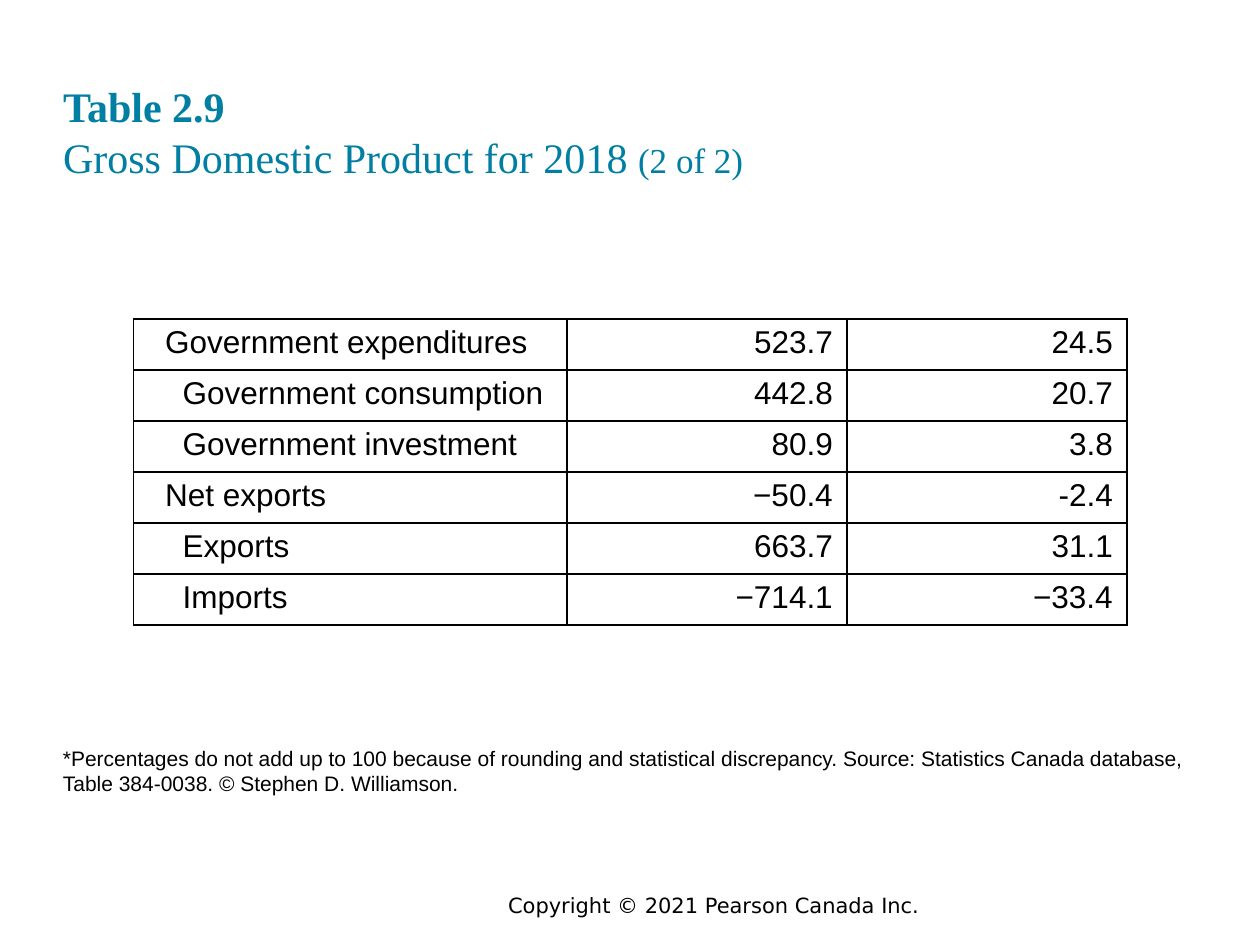
from lxml import etree
from pptx import Presentation
from pptx import util as u
from pptx.dml.color import RGBColor
from pptx.enum import text
from pptx.oxml import parse_xml
from pptx.oxml.ns import nsdecls, qn

Pt = u.Pt
BLACK = "000000"
TEAL = "007FA3"


def style(span, font, size, color, bold=False):
    span.font.name = font
    span.font.size = Pt(size)
    span.font.bold = bold
    span.font.color.rgb = RGBColor.from_string(color)


def add_borders(cell, color, width):
    properties = cell._tc.get_or_add_tcPr()
    for index, side in enumerate(("lnL", "lnR", "lnT", "lnB")):
        line = parse_xml(
            f'<a:{side} {nsdecls("a")} w="{Pt(width)}"><a:solidFill>'
            f'<a:srgbClr val="{color}"/></a:solidFill></a:{side}>')
        properties.insert(index, line)


deck = Presentation()
deck.slide_width, deck.slide_height = Pt(720), Pt(540)
page = deck.slides.add_slide(deck.slide_layouts[5])

# Title
title = page.shapes.title
title.left, title.top, title.width, title.height = Pt(36), Pt(17.3), Pt(648), Pt(86.4)
frame = title.text_frame
frame.margin_left = frame.margin_top = frame.margin_right = frame.margin_bottom = 0
frame.word_wrap = True
frame.auto_size = text.MSO_AUTO_SIZE.NONE
frame.vertical_anchor = text.MSO_ANCHOR.BOTTOM
frame.text = "Table 2.9\vGross Domestic Product for 2018 "
para = frame.paragraphs[0]
para.alignment = text.PP_ALIGN.LEFT
para.add_run().text = "(2 of 2)"
for span, size, bold in zip(para.runs, (24, 24, 20), (True, False, False)):
    style(span, "Times New Roman", size, TEAL, bold)
line_break = para._p.find(qn("a:br"))
etree.SubElement(line_break, qn("a:rPr")).set("sz", "2400")

# Table: indent level, item, amount, percentage
rows = [
    (1, "Government expenditures", "523.7", "24.5"),
    (2, "Government consumption", "442.8", "20.7"),
    (2, "Government investment", "80.9", "3.8"),
    (1, "Net exports", "−50.4", "-2.4"),
    (2, "Exports", "663.7", "31.1"),
    (2, "Imports", "−714.1", "−33.4"),
]
column_widths = (247.5, 160, 160)
row_height = 29.16
table = page.shapes.add_table(
    len(rows), len(column_widths), Pt(76.4), Pt(182.2),
    Pt(sum(column_widths)), Pt(row_height * len(rows))).table
table.first_row = table.horz_banding = False
for column, width in zip(table.columns, column_widths):
    column.width = Pt(width)
for row_index, (level, *values) in enumerate(rows):
    table.rows[row_index].height = Pt(row_height)
    for column_index, value in enumerate(values):
        cell = table.cell(row_index, column_index)
        cell.fill.background()
        add_borders(cell, BLACK, 1)
        cell.margin_left = Pt(8 + 10 * level if column_index == 0 else 8)
        cell.margin_right = Pt(8)
        cell.margin_top = cell.margin_bottom = Pt(3.6)
        cell.text_frame.text = value
        para = cell.text_frame.paragraphs[0]
        para.alignment = text.PP_ALIGN.RIGHT if column_index else text.PP_ALIGN.LEFT
        style(para.runs[0], "Arial", 18, BLACK)

# Footnote and copyright line
notes = [
    ("*Percentages do not add up to 100 because of rounding and statistical "
     "discrepancy. Source: Statistics Canada database, Table 384-0038. "
     "© Stephen D. Williamson.",
     (36, 426.2, 648, 56), 0, 0, "Arial", text.PP_ALIGN.LEFT),
    ("Copyright © 2021 Pearson Canada Inc.",
     (126, 506.2, 563.8, 21.6), 7.2, 3.6, "DejaVu Sans", text.PP_ALIGN.CENTER),
]
for wording, place, side_margin, end_margin, font, alignment in notes:
    frame = page.shapes.add_textbox(*map(Pt, place)).text_frame
    frame.word_wrap = True
    frame.margin_left = frame.margin_right = Pt(side_margin)
    frame.margin_top = frame.margin_bottom = Pt(end_margin)
    frame.text = wording
    para = frame.paragraphs[0]
    para.alignment = alignment
    style(para.runs[0], font, 12, BLACK)

deck.save("out.pptx")
